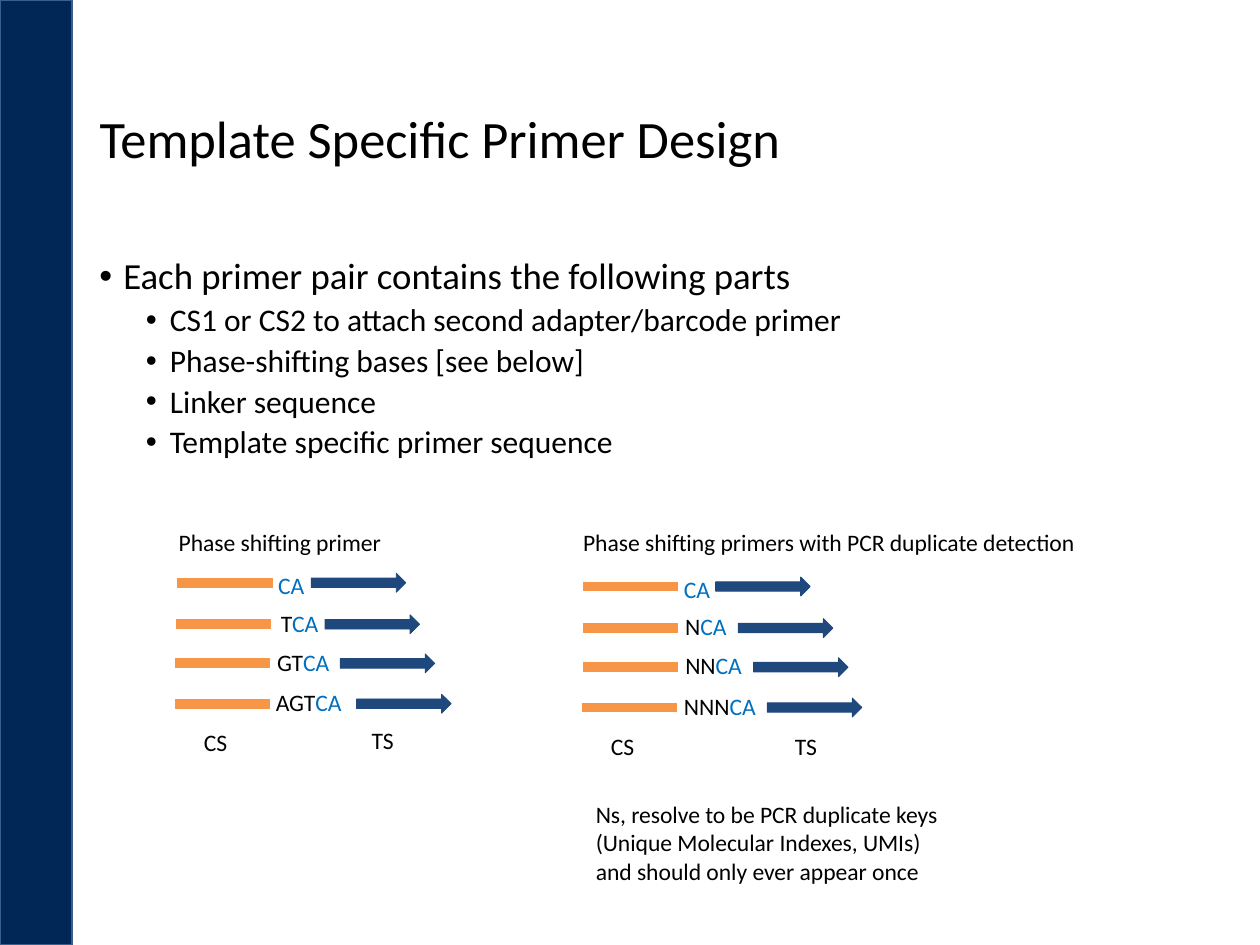
from dataclasses import dataclass

from lxml import etree
from pptx import Presentation
from pptx.dml.color import RGBColor
from pptx.enum.shapes import MSO_SHAPE
from pptx.enum.text import MSO_ANCHOR, PP_ALIGN
from pptx.oxml.ns import qn
from pptx.util import Inches, Pt

RECTANGLE, ARROW = MSO_SHAPE.RECTANGLE, MSO_SHAPE.RIGHT_ARROW
LEFT, MIDDLE = PP_ALIGN.LEFT, MSO_ANCHOR.MIDDLE

BLACK = RGBColor(0x00, 0x00, 0x00)
NAVY = RGBColor(0x00, 0x27, 0x55)
NAVY_EDGE = RGBColor(0x3A, 0x5F, 0x8C)
TEMPLATE_BLUE = RGBColor(0x1F, 0x49, 0x7D)
ADAPTER_ORANGE = RGBColor(0xF7, 0x96, 0x46)
LINKER_BLUE = RGBColor(0x00, 0x70, 0xC0)

FONT = "Calibri"
LABEL_SIZE = 13.5
LABEL_HEIGHT = 0.33
LINKER = "CA"
PART_WIDTH, BAR_HEIGHT, ARROW_HEIGHT = 0.75, 0.07, 0.15

# Arrow top and label top of each primer row, shared by both panels
ROW_TOPS = ((4.55, 4.48), (4.88, 4.78), (5.19, 5.09), (5.51, 5.41))


@dataclass(frozen=True)
class Primer:
    phase: str
    bar_left: float
    label_left: float
    label_width: float
    arrow_left: float


@dataclass(frozen=True)
class Caption:
    left: float
    top: float
    width: float
    lines: tuple[str, ...]
    height: float = LABEL_HEIGHT


@dataclass(frozen=True)
class Panel:
    drop: float
    primers: tuple[Primer, ...]
    captions: tuple[Caption, ...]


PANELS = (
    Panel(
        0,
        (
            Primer("", 1.41, 2.11, 0.49, 2.47),
            Primer("T", 1.40, 2.13, 0.55, 2.58),
            Primer("GT", 1.39, 2.10, 0.68, 2.70),
            Primer("AGT", 1.39, 2.09, 0.89, 2.83),
        ),
        (
            Caption(1.32, 4.14, 1.97, ("Phase shifting primer",)),
            Caption(1.52, 5.73, 0.89, ("CS",)),
            Caption(2.85, 5.71, 0.89, ("TS",)),
        ),
    ),
    Panel(
        0.03,
        (
            Primer("", 4.63, 5.33, 0.49, 5.68),
            Primer("N", 4.63, 5.34, 0.56, 5.86),
            Primer("NN", 4.63, 5.34, 0.68, 5.98),
            Primer("NNN", 4.62, 5.33, 0.89, 6.09),
        ),
        (
            Caption(4.53, 4.14, 4.4,
                    ("Phase shifting primers with PCR duplicate detection",)),
            Caption(4.75, 5.76, 0.89, ("CS",)),
            Caption(6.21, 5.76, 0.89, ("TS",)),
            Caption(4.63, 6.3, 4.29,
                    ("Ns, resolve to be PCR duplicate keys",
                     "(Unique Molecular Indexes, UMIs)",
                     "and should only ever appear once"), 0.78),
        ),
    ),
)

# Bullet level and text
BULLETS = (
    (0, "Each primer pair contains the following parts"),
    (1, "CS1 or CS2 to attach second adapter/barcode primer"),
    (1, "Phase-shifting bases [see below]"),
    (1, "Linker sequence"),
    (1, "Template specific primer sequence"),
)
# Size, left margin and space before of each level
BULLET_STYLES = ((21, 0.19, 0), (18, 0.56, 3.8))


def add_span(para, text: str, size: float, color: RGBColor = BLACK) -> None:
    span = para.add_run()
    span.text = text
    span.font.name = FONT
    span.font.size = Pt(size)
    span.font.color.rgb = color


def add_box(slide, left: float, top: float, width: float, height: float):
    box = slide.shapes.add_textbox(
        Inches(left), Inches(top), Inches(width), Inches(height))
    box.text_frame.word_wrap = True
    return box.text_frame


def add_part(slide, kind, left: float, top: float, width: float, height: float,
             fill: RGBColor, line: RGBColor, weight: float = 0.5) -> None:
    part = slide.shapes.add_shape(
        kind, Inches(left), Inches(top), Inches(width), Inches(height))
    part.shadow.inherit = False
    part.fill.solid()
    part.fill.fore_color.rgb = fill
    part.line.color.rgb = line
    part.line.width = Pt(weight)


def add_title(slide, text: str) -> None:
    title = slide.shapes.title
    title.left, title.top = Inches(0.69), Inches(0.4)
    title.width, title.height = Inches(8.62), Inches(1.45)
    title.text_frame.vertical_anchor = MIDDLE
    para = title.text_frame.paragraphs[0]
    para.alignment = LEFT
    para.line_spacing = 0.9
    add_span(para, text, 30)


def add_bullets(slide) -> None:
    frame = add_box(slide, 0.69, 2, 8.62, 2.14)
    for index, (level, text) in enumerate(BULLETS):
        size, margin, space = BULLET_STYLES[level]
        para = frame.add_paragraph() if index else frame.paragraphs[0]
        para.level = level
        para.line_spacing = 0.9
        para.space_before = Pt(space)
        properties = para._p.get_or_add_pPr()
        properties.set("marL", str(Inches(margin)))
        properties.set("indent", str(Inches(-0.19)))
        etree.SubElement(properties, qn("a:buFont")).set("typeface", "Arial")
        etree.SubElement(properties, qn("a:buChar")).set("char", "•")
        add_span(para, text, size)


def add_primer(slide, primer: Primer, top: float, label_top: float) -> None:
    bar_top = top + (ARROW_HEIGHT - BAR_HEIGHT) / 2
    add_part(slide, RECTANGLE, primer.bar_left, bar_top, PART_WIDTH, BAR_HEIGHT,
             ADAPTER_ORANGE, ADAPTER_ORANGE)
    add_part(slide, ARROW, primer.arrow_left, top, PART_WIDTH, ARROW_HEIGHT,
             TEMPLATE_BLUE, TEMPLATE_BLUE)
    para = add_box(slide, primer.label_left, label_top,
                   primer.label_width, LABEL_HEIGHT).paragraphs[0]
    if primer.phase:
        add_span(para, primer.phase, LABEL_SIZE)
    add_span(para, LINKER, LABEL_SIZE, LINKER_BLUE)


def add_caption(slide, caption: Caption) -> None:
    frame = add_box(slide, caption.left, caption.top, caption.width, caption.height)
    for index, line in enumerate(caption.lines):
        para = frame.add_paragraph() if index else frame.paragraphs[0]
        add_span(para, line, LABEL_SIZE)


def main() -> None:
    deck = Presentation()
    deck.slide_width, deck.slide_height = Inches(10), Inches(7.5)
    slide = deck.slides.add_slide(deck.slide_layouts.get_by_name("Title Only"))

    # Side band, title and bullets
    add_part(slide, RECTANGLE, 0, 0, 0.57, 7.5, NAVY, NAVY_EDGE, 1)
    add_title(slide, "Template Specific Primer Design")
    add_bullets(slide)

    # Primer diagrams
    for panel in PANELS:
        for primer, (top, label_top) in zip(panel.primers, ROW_TOPS):
            add_primer(slide, primer, top + panel.drop, label_top + panel.drop)
        for caption in panel.captions:
            add_caption(slide, caption)

    deck.save("out.pptx")


if __name__ == "__main__":
    main()
